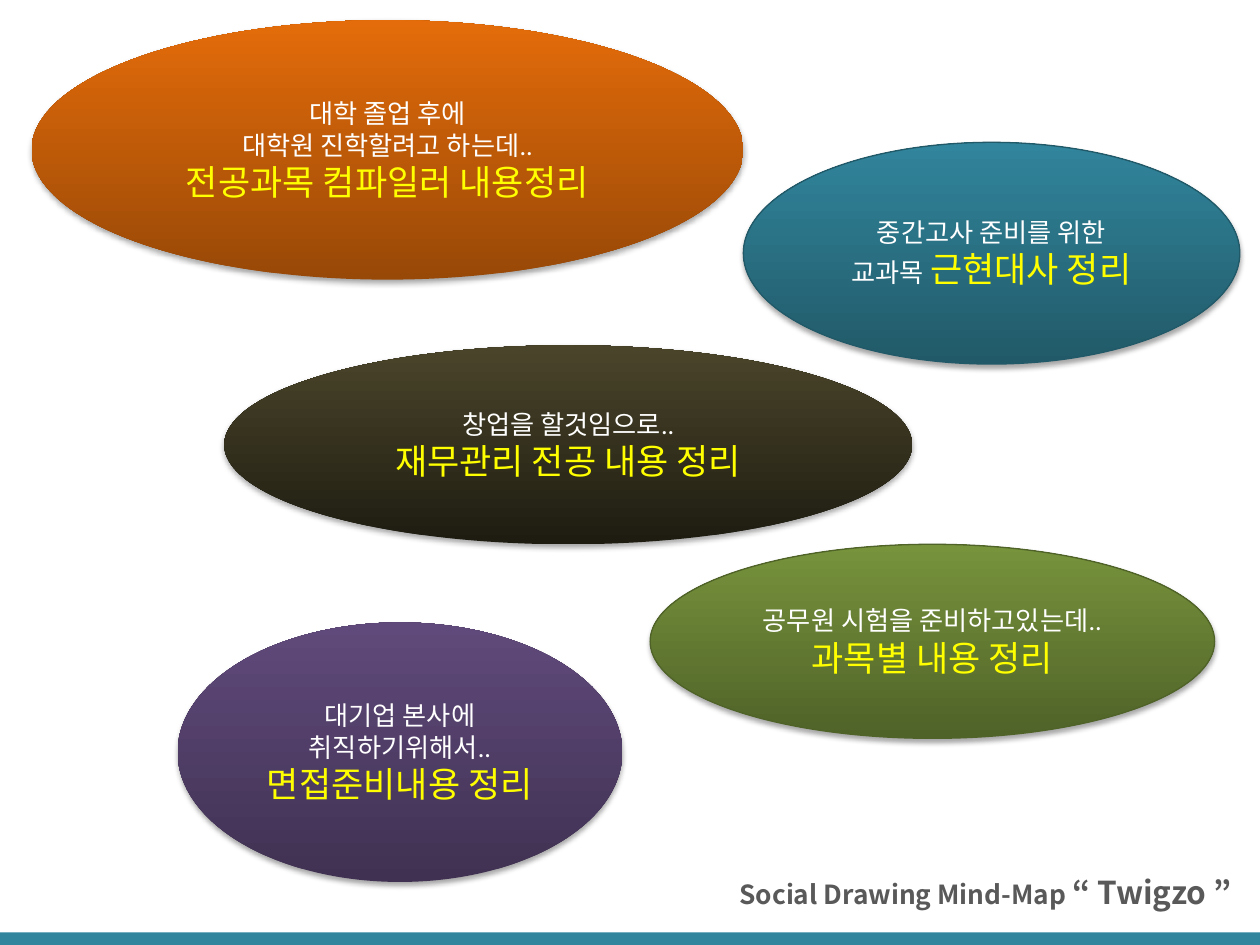
from lxml import etree
from pptx import Presentation
from pptx.dml.color import RGBColor
from pptx.enum.shapes import MSO_SHAPE
from pptx.enum.text import MSO_ANCHOR, MSO_AUTO_SIZE, PP_ALIGN
from pptx.oxml.ns import qn
from pptx.util import Inches, Pt

COLORS = {
    "bar": "31859C", "title": "595959", "text": "FFFFFF", "key": "FFFF00", "shadow": "000000",
    "orange": ("984807", "E46C0A"),
    "teal": ("215968", "31859C"),
    "green": ("4F6228", "77933C"),
    "purple": ("403152", "604A7B"),
    "brown": ("1E1C11", "4A452A"),
}

# Box, colour, outlined, plain lines, lead-in before the key phrase, key phrase
BUBBLES = [
    ((0.25, 0.16, 5.65, 2.06), "orange", False,
     ["대학 졸업 후에", "대학원 진학할려고 하는데.."], "", "전공과목 컴파일러 내용정리"),
    ((5.9, 1.13, 3.94, 1.76), "teal", True,
     ["중간고사 준비를 위한"], "교과목 ", "근현대사 정리"),
    ((5.16, 4.32, 4.48, 1.54), "green", True,
     ["공무원 시험을 준비하고있는데.."], "", "과목별 내용 정리"),
    ((1.41, 4.94, 3.53, 2.06), "purple", False,
     ["대기업 본사에", "취직하기위해서.."], "", "면접준비내용 정리"),
    ((1.78, 2.74, 5.46, 1.58), "brown", False,
     ["창업을 할것임으로.."], "", "재무관리 전공 내용 정리"),
]


def rgb(value):
    return RGBColor.from_string(value)


def add_run(p, text, size, color, font="Calibri", bold=False):
    r = p.add_run()
    r.text = text
    r.font.size = Pt(size)
    r.font.name = font
    r.font.bold = bold
    r.font.color.rgb = rgb(color)


def add_drop_shadow(sp):
    sp.shadow.inherit = False
    effects = sp._element.spPr.find(qn("a:effectLst"))
    shadow = etree.SubElement(effects, qn("a:outerShdw"), blurRad=str(Pt(3.1)),
                              dist=str(Pt(1.8)), dir="5400000", rotWithShape="0")
    color = etree.SubElement(shadow, qn("a:srgbClr"), val=COLORS["shadow"])
    etree.SubElement(color, qn("a:alpha"), val="35000")


def add_bubble(slide, box, color, outlined, lines, lead, key):
    sp = slide.shapes.add_shape(MSO_SHAPE.OVAL, *map(Inches, box))
    shades = COLORS[color]
    sp.fill.gradient()
    sp.fill.gradient_angle = 90
    for stop, shade in zip(sp.fill.gradient_stops, shades):
        stop.color.rgb = rgb(shade)
    if outlined:
        sp.line.color.rgb = rgb(shades[0])
        sp.line.width = Pt(0.75)
    else:
        sp.line.fill.background()
    add_drop_shadow(sp)

    tf = sp.text_frame
    tf.word_wrap = True
    tf.vertical_anchor = MSO_ANCHOR.MIDDLE
    p = tf.paragraphs[0]
    for line in lines:
        p.alignment = PP_ALIGN.CENTER
        add_run(p, line, 15, COLORS["text"])
        p = tf.add_paragraph()
    p.alignment = PP_ALIGN.CENTER
    if lead:
        add_run(p, lead, 15, COLORS["text"])
    add_run(p, key, 20, COLORS["key"])


def add_bar(slide, box):
    sp = slide.shapes.add_shape(MSO_SHAPE.RECTANGLE, *map(Inches, box))
    sp.shadow.inherit = False
    sp.fill.solid()
    sp.fill.fore_color.rgb = rgb(COLORS["bar"])
    sp.line.fill.background()


def add_title(slide, box):
    tf = slide.shapes.add_textbox(*map(Inches, box)).text_frame
    tf.word_wrap = True
    tf.auto_size = MSO_AUTO_SIZE.SHAPE_TO_FIT_TEXT
    p = tf.paragraphs[0]
    p.alignment = PP_ALIGN.JUSTIFY
    for text, size in (("Social Drawing Mind-Map ", 15), ("“ Twigzo ”", 18)):
        add_run(p, text, size, COLORS["title"], "Noto Sans CJK KR", True)


def main():
    prs = Presentation()
    prs.slide_width, prs.slide_height = Inches(10), Inches(7.5)
    slide = prs.slides.add_slide(prs.slide_layouts[6])
    add_bar(slide, (0, 7.4, 10, 0.13))
    add_title(slide, (5.77, 6.88, 6.9, 0.4))
    for bubble in BUBBLES:
        add_bubble(slide, *bubble)
    prs.save("out.pptx")


if __name__ == "__main__":
    main()
